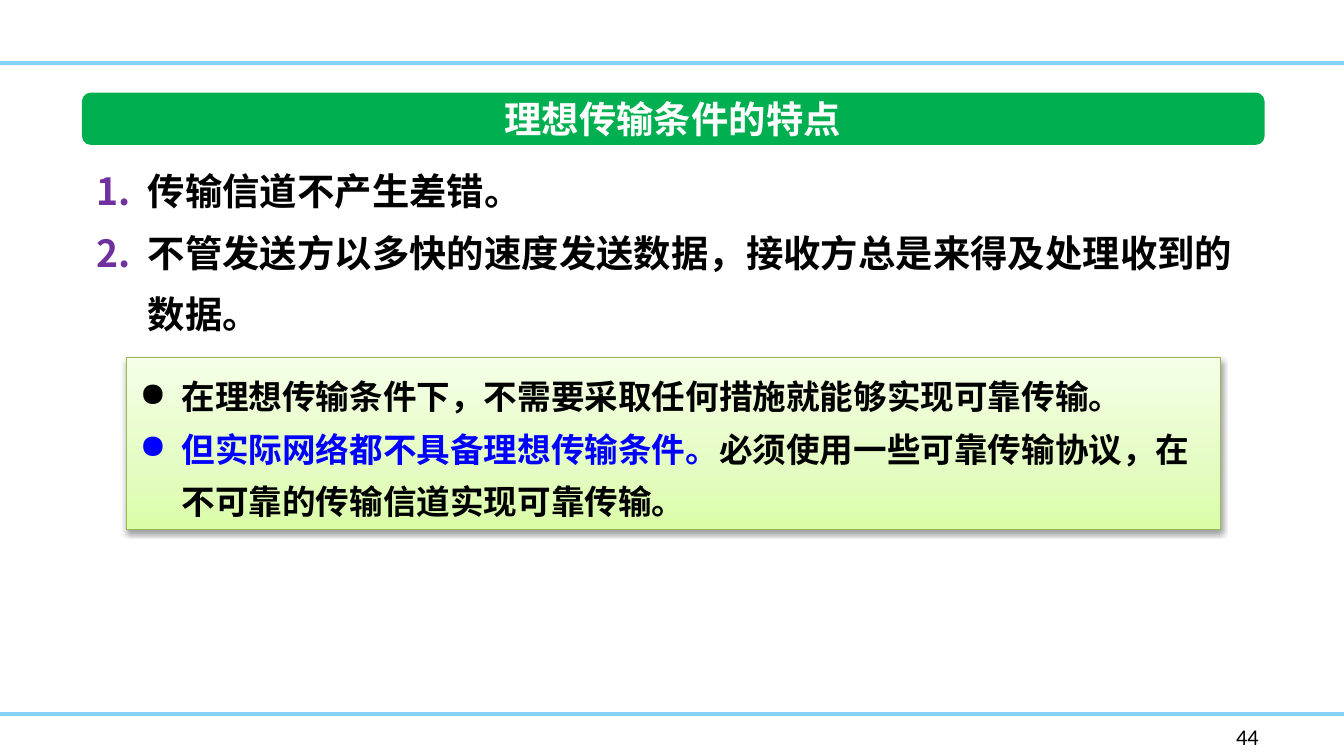
from lxml import etree
from pptx import Presentation
from pptx import util as u
from pptx.dml.color import RGBColor
from pptx.enum import shapes, text
from pptx.oxml.ns import qn

GREEN = RGBColor(0x00, 0xB0, 0x50)
SKY = RGBColor(0x85, 0xD1, 0xF7)
PURPLE = RGBColor(0x70, 0x30, 0xA0)
OLIVE = RGBColor(0x98, 0xB9, 0x55)
BLUE = RGBColor(0x00, 0x00, 0xFF)
BLACK = RGBColor(0x00, 0x00, 0x00)
WHITE = RGBColor(0xFF, 0xFF, 0xFF)
LIME_STOPS = [
    (0, RGBColor(0xDA, 0xFD, 0xA7)),
    (35, RGBColor(0xE4, 0xFC, 0xC2)),
    (100, RGBColor(0xF5, 0xFF, 0xE7)),
]

CHINESE = "Noto Sans CJK SC"
LATIN = "Calibri"
SLIDE_WIDTH, SLIDE_HEIGHT = u.Cm(25.4), u.Cm(14.29)

NUMBERED = {"tag": "a:buAutoNum", "attributes": {"type": "arabicPeriod"},
            "color": PURPLE, "margin": 0.99, "hanging": 0.97}
DOTTED = {"tag": "a:buChar", "attributes": {"char": "●"},
          "color": None, "margin": 0.79, "hanging": 0.79}


def add_child(parent, tag, **attributes):
    child = etree.SubElement(parent, qn(tag))
    for name, value in attributes.items():
        child.set(name, str(value))
    return child


def apply(target, values):
    for name, value in values.items():
        setattr(target, name, value)


def place(shape, left, top, width, height):
    apply(shape, {"left": u.Cm(left), "top": u.Cm(top),
                  "width": u.Cm(width), "height": u.Cm(height)})


def add_span(para, words, size, color, font=CHINESE, bold=True):
    span = para.add_run()
    span.text = words
    apply(span.font, {"name": font, "size": u.Pt(size), "bold": bold})
    span.font.color.rgb = color
    add_child(span.font._element, "a:ea", typeface=font)


def add_bullet(para, style):
    properties = para._p.get_or_add_pPr()
    properties.set("marL", str(u.Cm(style["margin"])))
    properties.set("indent", str(-u.Cm(style["hanging"])))
    if style["color"] is not None:
        bullet_color = add_child(properties, "a:buClr")
        add_child(bullet_color, "a:srgbClr", val=style["color"])
    add_child(properties, style["tag"], **style["attributes"])


def fill_list(frame, items, style, size, spacing):
    """Each item is a list of (words, color) spans."""
    for index, spans in enumerate(items):
        para = frame.add_paragraph() if index else frame.paragraphs[0]
        add_bullet(para, style)
        apply(para, {"alignment": text.PP_ALIGN.LEFT, "space_before": u.Pt(0),
                     "space_after": u.Pt(0), "line_spacing": u.Pt(spacing)})
        for words, color in spans:
            add_span(para, words, size, color)


def add_rule(page, top):
    rule = page.shapes.add_connector(shapes.MSO_CONNECTOR.STRAIGHT,
                                     0, u.Cm(top), SLIDE_WIDTH, u.Cm(top))
    rule.line.color.rgb = SKY
    rule.line.width = u.Pt(2)
    add_child(rule._element.spPr, "a:effectLst")


def add_heading(page, words):
    banner = page.shapes.add_shape(shapes.MSO_SHAPE.ROUNDED_RECTANGLE, 0, 0, 0, 0)
    place(banner, 1.55, 1.75, 22.35, 0.99)
    banner.shadow.inherit = False
    banner.fill.solid()
    banner.fill.fore_color.rgb = GREEN
    banner.line.fill.background()

    title = page.shapes.title
    place(title, 9.17, 1.68, 7.09, 1.12)
    apply(title.text_frame, {"word_wrap": False,
                             "auto_size": text.MSO_AUTO_SIZE.NONE,
                             "vertical_anchor": text.MSO_ANCHOR.MIDDLE})
    para = title.text_frame.paragraphs[0]
    para.alignment = text.PP_ALIGN.CENTER
    add_span(para, words, 20, WHITE)
    # The banner lies behind the title
    title._element.addprevious(banner._element)


def add_conditions(page, items):
    body = page.placeholders[1]
    place(body, 1.55, 2.74, 22.35, 3.78)
    apply(body.text_frame, {"word_wrap": True,
                            "auto_size": text.MSO_AUTO_SIZE.NONE,
                            "vertical_anchor": text.MSO_ANCHOR.TOP})
    fill_list(body.text_frame, items, NUMBERED, 20, 33)


def add_callout(page, items):
    box = page.shapes.add_shape(shapes.MSO_SHAPE.RECTANGLE, 0, 0, 0, 0)
    place(box, 2.39, 6.76, 20.68, 3.25)
    box.line.color.rgb = OLIVE
    box.line.width = u.Pt(0.75)

    # Gradient running from the bottom up
    box.fill.gradient()
    box.fill.gradient_angle = 90
    properties = box._element.spPr
    stops = properties.find(".//" + qn("a:gsLst"))
    for old_stop in list(stops):
        stops.remove(old_stop)
    for percent, color in LIME_STOPS:
        stop = add_child(stops, "a:gs", pos=percent * 1000)
        add_child(stop, "a:srgbClr", val=color)

    # Soft shadow below
    box.shadow.inherit = False
    shadow = add_child(properties.find(qn("a:effectLst")), "a:outerShdw",
                       blurRad=u.Pt(3.1), dist=u.Pt(1.6), dir=90 * 60000,
                       rotWithShape=0)
    add_child(add_child(shadow, "a:srgbClr", val=BLACK), "a:alpha", val=38000)

    apply(box.text_frame, {"word_wrap": True,
                           "vertical_anchor": text.MSO_ANCHOR.TOP})
    fill_list(box.text_frame, items, DOTTED, 18, 28)


def add_page_number(page, number):
    box = page.shapes.add_textbox(0, 0, 0, 0)
    place(box, 23.11, 13.54, 1.93, 0.76)
    apply(box.text_frame, {"word_wrap": True,
                           "vertical_anchor": text.MSO_ANCHOR.MIDDLE})
    add_span(box.text_frame.paragraphs[0], number, 12, BLACK, LATIN, False)


def main():
    deck = Presentation()
    apply(deck, {"slide_width": SLIDE_WIDTH, "slide_height": SLIDE_HEIGHT})
    page = deck.slides.add_slide(deck.slide_layouts[1])

    # Rules at the head and foot of the page
    for top in (1.19, 13.49):
        add_rule(page, top)

    add_heading(page, "理想传输条件的特点")
    add_conditions(page, [
        [("传输信道不产生差错。", BLACK)],
        [("不管发送方以多快的速度发送数据，接收方总是来得及处理收到的数据。", BLACK)],
    ])
    add_callout(page, [
        [("在理想传输条件下，不需要采取任何措施就能够实现可靠传输。", BLACK)],
        [("但实际网络都不具备理想传输条件。", BLUE),
         ("必须使用一些可靠传输协议，在不可靠的传输信道实现可靠传输。", BLACK)],
    ])
    add_page_number(page, "44")
    deck.save("out.pptx")


if __name__ == "__main__":
    main()
